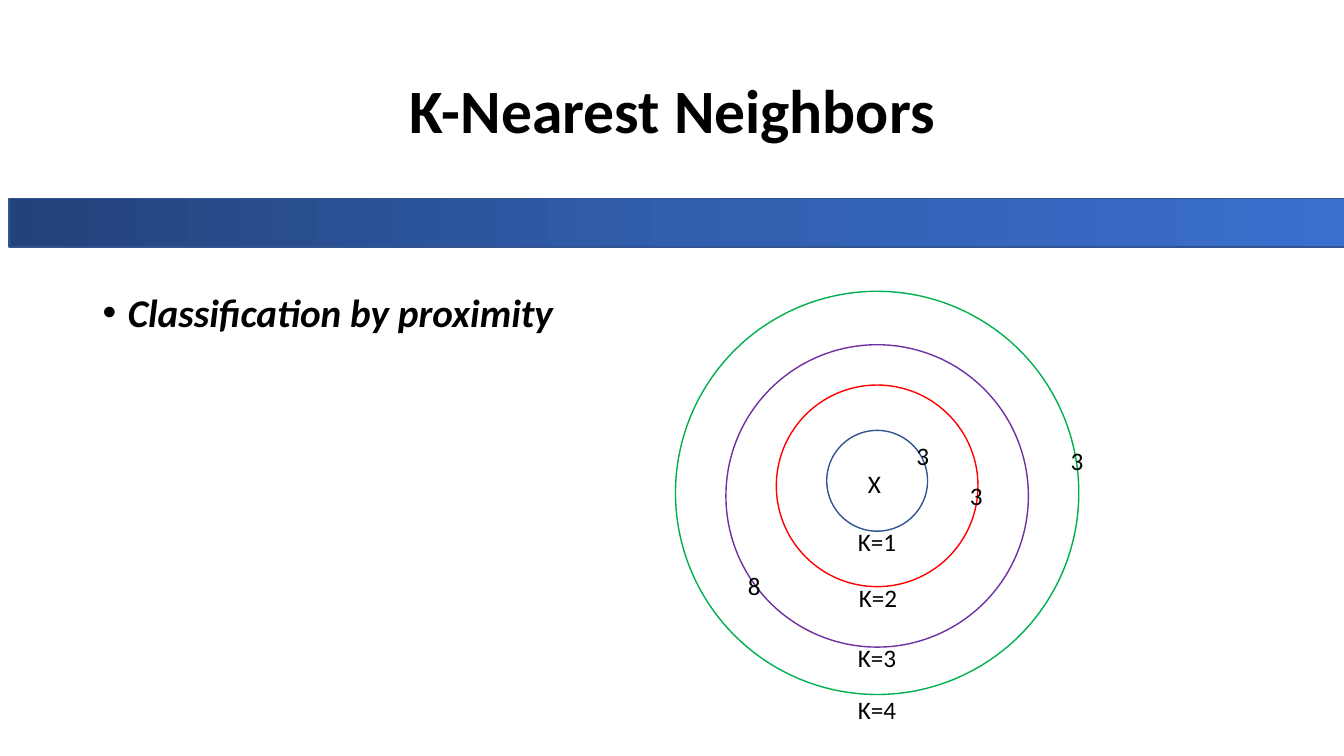
from copy import deepcopy
from dataclasses import dataclass

from lxml import etree
from pptx import Presentation
from pptx import util as u
from pptx.dml.color import RGBColor
from pptx.enum import shapes, text
from pptx.oxml import ns

PX = 9144
FONT = "Calibri"
BLACK = RGBColor(0x00, 0x00, 0x00)
NAVY = RGBColor(0x32, 0x54, 0x91)
RED = RGBColor(0xFF, 0x00, 0x00)
PURPLE = RGBColor(0x70, 0x30, 0xA0)
GREEN = RGBColor(0x00, 0xB0, 0x50)
BAND_COLORS = (
    RGBColor(0x23, 0x42, 0x7A),
    RGBColor(0x31, 0x5E, 0xAD),
    RGBColor(0x3A, 0x6F, 0xCE),
)
CENTER_X = 870


@dataclass(frozen=True)
class Ring:
    top: int
    diameter: int
    color: RGBColor


@dataclass(frozen=True)
class Label:
    text: str
    left: int
    top: int
    width: int = 33
    wrap: bool = True


RINGS = (
    Ring(427, 100, NAVY),
    Ring(382, 200, RED),
    Ring(342, 300, PURPLE),
    Ring(289, 400, GREEN),
)
LABELS = (
    Label("K=1", 841, 517, 59, False),
    Label("K=2", 842, 573, 59, False),
    Label("K=3", 841, 632, 59, False),
    Label("K=4", 841, 684, 59, False),
    Label("X", 851, 460, 80),
    Label("3", 899, 432),
    Label("8", 732, 561),
    Label("3", 952, 472),
    Label("3", 1052, 437),
)


def px(*lengths: int) -> list[u.Emu]:
    return [u.Emu(n * PX) for n in lengths]


def add_outlined(slide, kind, box: tuple[int, int, int, int], color: RGBColor):
    sp = slide.shapes.add_shape(kind, *px(*box))
    sp.shadow.inherit = False
    sp.fill.background()
    sp.line.color.rgb = color
    sp.line.width = u.Pt(1)
    return sp


def add_band(slide) -> None:
    sp = add_outlined(slide, shapes.MSO_SHAPE.RECTANGLE, (9, 197, 1325, 48), NAVY)
    sp.fill.gradient()
    sp.fill.gradient_angle = 0
    stop_list = sp._element.spPr.find(".//" + ns.qn("a:gsLst"))
    stop_list.append(deepcopy(stop_list[-1]))
    for i, (stop, color) in enumerate(zip(sp.fill.gradient_stops, BAND_COLORS)):
        stop.position = i / 2
        stop.color.rgb = color


def add_ring(slide, ring: Ring) -> None:
    left = CENTER_X - ring.diameter // 2
    box = (left, ring.top, ring.diameter, ring.diameter)
    add_outlined(slide, shapes.MSO_SHAPE.OVAL, box, ring.color)


def add_text(slide, content: str, box: tuple[int, int, int, int], size: int,
             bold: bool = False, italic: bool = False):
    tf = slide.shapes.add_textbox(*px(*box)).text_frame
    tf.word_wrap = True
    tf.text = content
    font = tf.paragraphs[0].runs[0].font
    font.name = FONT
    font.size = u.Pt(size)
    font.bold = bold
    font.italic = italic
    font.color.rgb = BLACK
    return tf


def add_title(slide) -> None:
    tf = add_text(slide, "K-Nearest Neighbors", (92, 40, 1150, 145), 44, bold=True)
    tf.vertical_anchor = text.MSO_ANCHOR.MIDDLE
    p = tf.paragraphs[0]
    p.alignment = text.PP_ALIGN.CENTER
    p.line_spacing = 0.9


def add_bullet(slide) -> None:
    tf = add_text(slide, "Classification by proximity", (92, 286, 1150, 476), 28,
                  bold=True, italic=True)
    p = tf.paragraphs[0]
    p.line_spacing = 0.9
    pPr = p._p.get_or_add_pPr()
    pPr.set("marL", str(25 * PX))
    pPr.set("indent", str(-25 * PX))
    etree.SubElement(pPr, ns.qn("a:buFont"), typeface="Arial")
    etree.SubElement(pPr, ns.qn("a:buChar"), char="•")


def add_label(slide, label: Label) -> None:
    tf = add_text(slide, label.text, (label.left, label.top, label.width, 40), 18)
    tf.word_wrap = label.wrap
    tf.auto_size = text.MSO_AUTO_SIZE.SHAPE_TO_FIT_TEXT


def main() -> None:
    prs = Presentation()
    prs.slide_width, prs.slide_height = px(1333, 750)
    slide = prs.slides.add_slide(prs.slide_layouts[6])
    add_band(slide)
    add_title(slide)
    for ring in RINGS:
        add_ring(slide, ring)
    for label in LABELS:
        add_label(slide, label)
    add_bullet(slide)
    prs.save("out.pptx")


if __name__ == "__main__":
    main()
